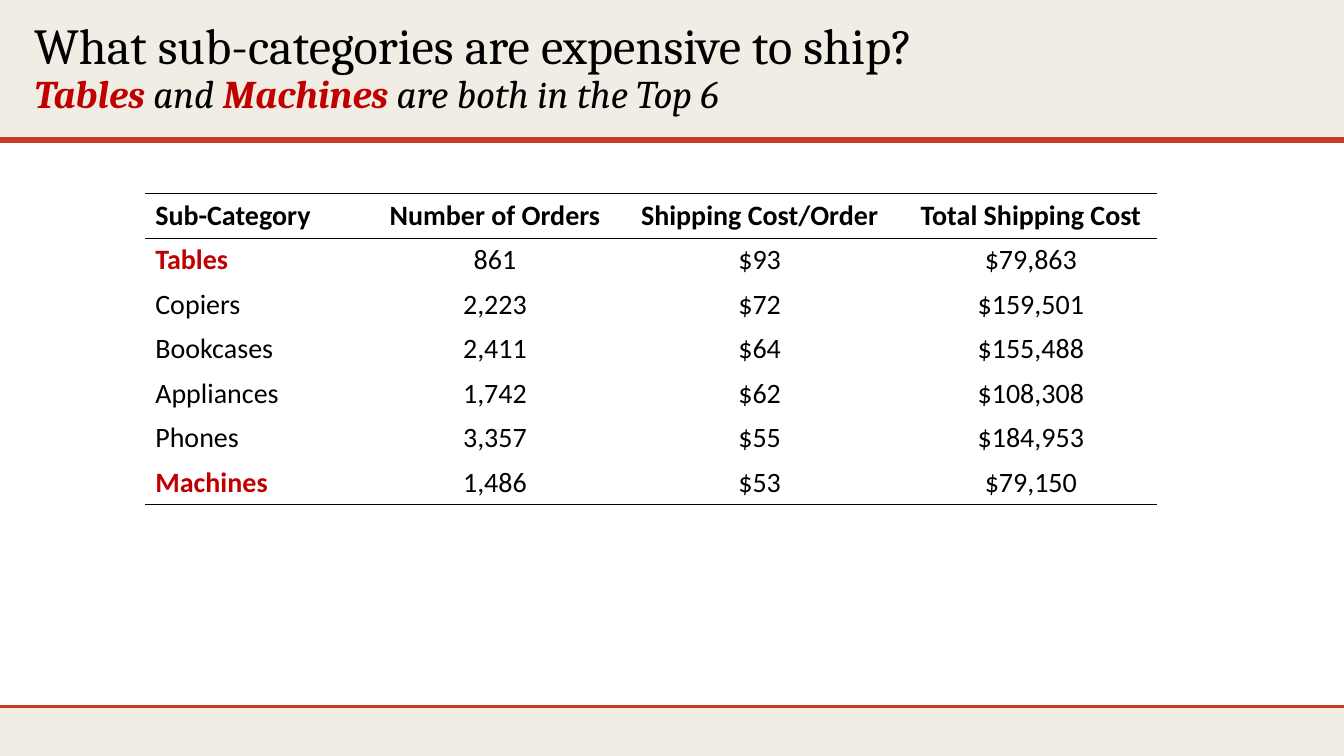
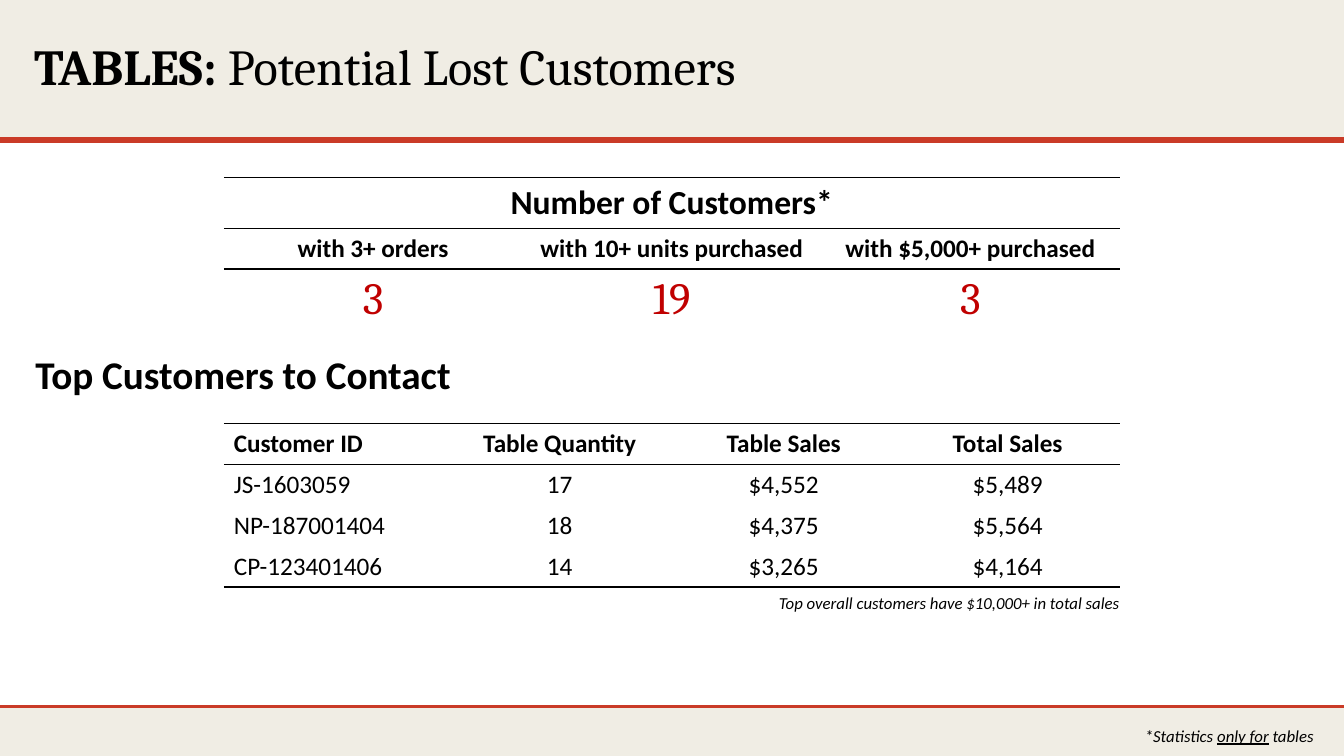
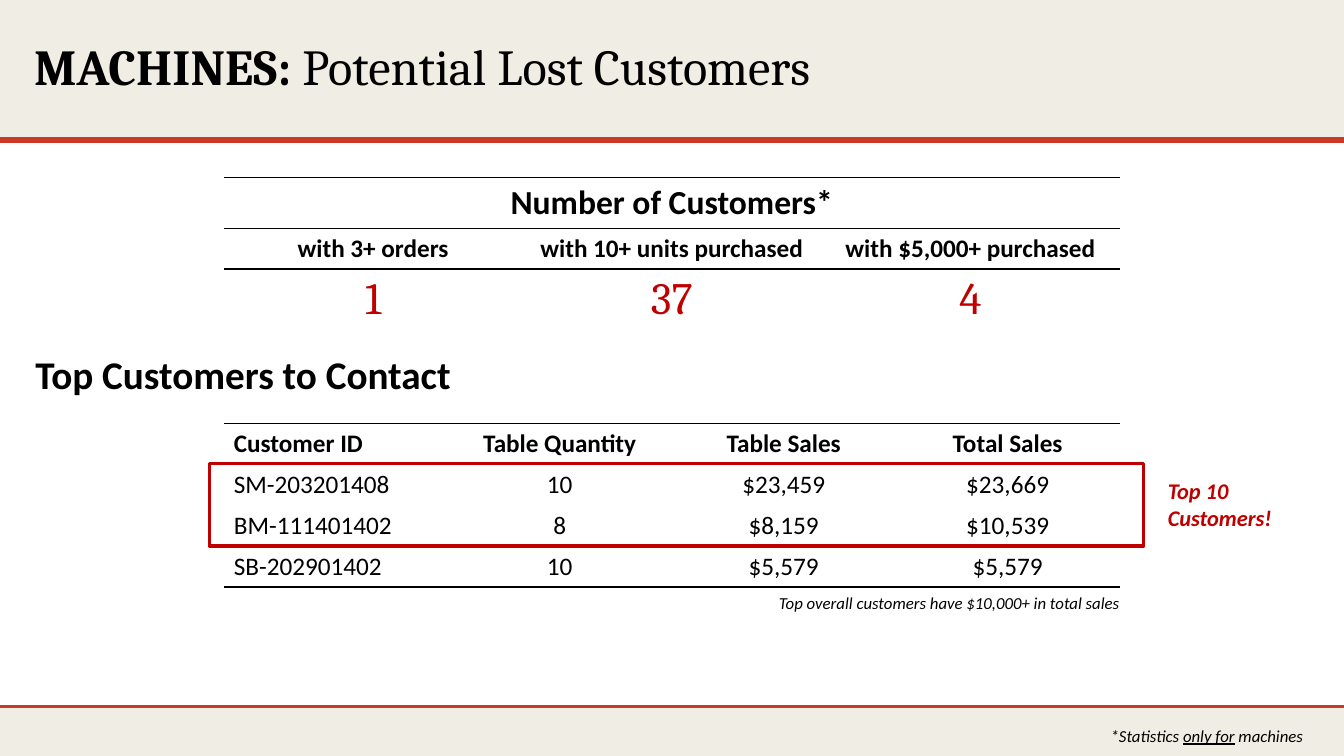
from dataclasses import dataclass, replace

from lxml import etree
from pptx import Presentation
from pptx import util as u
from pptx.dml.color import RGBColor
from pptx.enum import shapes, text
from pptx.oxml import ns
from pptx.slide import Slide
from pptx.table import _Cell
from pptx.text.text import TextFrame, _Paragraph

COLORS = {"band": "F0EDE4", "rule": "CA3B27", "accent": "C00000", "ink": "000000"}
SLIDE_W, SLIDE_H = 33.87, 19.05
HEADER_H, FOOTER_TOP = 3.53, 17.81
TABLE_W = 22.58
TABLE_LEFT = 5.64
CENTER = text.PP_ALIGN.CENTER
LEFT = text.PP_ALIGN.LEFT


@dataclass(frozen=True)
class Style:
    size: int
    font: str = "Calibri"
    color: str = "ink"
    bold: bool = False
    italic: bool = False
    underline: bool = False


@dataclass(frozen=True)
class Span:
    text: str
    style: Style


@dataclass(frozen=True)
class Box:
    left: float
    top: float
    width: float
    height: float

    def emu(self) -> tuple[u.Cm, ...]:
        return tuple(u.Cm(v) for v in (self.left, self.top, self.width, self.height))


@dataclass(frozen=True)
class Grid:
    left: float
    top: float
    widths: list[float]
    heights: list[float]
    rows: list[list[str]]
    styles: list[Style]
    rules: set[int]
    first_align: text.PP_ALIGN = LEFT
    highlights: tuple[str, ...] = ()


@dataclass(frozen=True)
class Product:
    name: str
    counts: list[str]
    customers: list[list[str]]
    footnote_left: float
    top_ten: bool = False


TITLE = Style(36, "Cambria")
TITLE_BOLD = replace(TITLE, bold=True)
SUBTITLE = Style(28, "Cambria", italic=True)
SUBTITLE_KEY = replace(SUBTITLE, color="accent", bold=True)
HEADING = Style(28, bold=True)
NOTE = Style(12, italic=True)
CALLOUT = Style(16, color="accent", bold=True, italic=True)
BIG_NUMBER = Style(32, "Cambria", "accent")
CELL = Style(18)
CELL_HEAD = replace(CELL, bold=True)


def rgb(name: str) -> RGBColor:
    return RGBColor.from_string(COLORS[name])


def write(p: _Paragraph, spans: list[Span]) -> None:
    for span in spans:
        r = p.add_run()
        r.text = span.text
        f, st = r.font, span.style
        f.name, f.size = st.font, u.Pt(st.size)
        f.bold, f.italic, f.underline = st.bold, st.italic, st.underline
        f.color.rgb = rgb(st.color)


def add_text(s: Slide, box: Box, lines: list[list[Span]]) -> TextFrame:
    tf = s.shapes.add_textbox(*box.emu()).text_frame
    tf.word_wrap = True
    for i, spans in enumerate(lines):
        write(tf.paragraphs[0] if i == 0 else tf.add_paragraph(), spans)
    return tf


def add_rect(s: Slide, box: Box, fill: str = "", line: str = "") -> None:
    sp = s.shapes.add_shape(shapes.MSO_SHAPE.RECTANGLE, *box.emu())
    sp.shadow.inherit = False
    if fill:
        sp.fill.solid()
        sp.fill.fore_color.rgb = rgb(fill)
    else:
        sp.fill.background()
    if line:
        sp.line.color.rgb = rgb(line)
        sp.line.width = u.Pt(2.25)
    else:
        sp.line.fill.background()


def add_rule(s: Slide, y: float, width: float) -> None:
    cx = s.shapes.add_connector(
        shapes.MSO_CONNECTOR.STRAIGHT, 0, u.Cm(y), u.Cm(SLIDE_W), u.Cm(y)
    )
    cx.line.color.rgb = rgb("rule")
    cx.line.width = u.Pt(width)
    etree.SubElement(cx._element.spPr, ns.qn("a:effectLst"))


def set_borders(cell: _Cell, top: bool, bottom: bool) -> None:
    tc_pr = cell._tc.get_or_add_tcPr()
    for side, shown in (("L", False), ("R", False), ("T", top), ("B", bottom)):
        ln = etree.SubElement(tc_pr, ns.qn(f"a:ln{side}"), w=str(u.Pt(1)))
        if shown:
            fill = etree.SubElement(ln, ns.qn("a:solidFill"))
            etree.SubElement(fill, ns.qn("a:srgbClr"), val=COLORS["ink"])
        else:
            etree.SubElement(ln, ns.qn("a:noFill"))


def add_grid(s: Slide, grid: Grid) -> None:
    box = Box(grid.left, grid.top, sum(grid.widths), sum(grid.heights))
    tbl = s.shapes.add_table(len(grid.rows), len(grid.widths), *box.emu()).table
    tbl.first_row = tbl.horz_banding = False
    for col, width in zip(tbl.columns, grid.widths):
        col.width = u.Cm(width)
    for i, values in enumerate(grid.rows):
        tbl.rows[i].height = u.Cm(grid.heights[i])
        for j in range(len(grid.widths)):
            cell = tbl.cell(i, j)
            set_borders(cell, i in grid.rules, i + 1 in grid.rules)
            cell.fill.background()
            if j < len(values):
                st = grid.styles[i]
                if values[j] in grid.highlights:
                    st = replace(st, color="accent", bold=True)
                p = cell.text_frame.paragraphs[0]
                p.alignment = CENTER if j else grid.first_align
                write(p, [Span(values[j], st)])
        if len(values) == 1:
            tbl.cell(i, 0).merge(tbl.cell(i, len(grid.widths) - 1))


def new_slide(prs: Presentation, title: list[list[Span]]) -> Slide:
    s = prs.slides.add_slide(prs.slide_layouts[6])
    add_rect(s, Box(0, FOOTER_TOP, SLIDE_W, SLIDE_H - FOOTER_TOP), "band")
    add_rect(s, Box(0, 0, SLIDE_W, HEADER_H), "band")
    add_rule(s, HEADER_H, 4.5)
    add_rule(s, FOOTER_TOP, 2.25)
    tf = add_text(s, Box(0.61, 0.28, 24.89, 2.92), title)
    tf.vertical_anchor = text.MSO_ANCHOR.MIDDLE
    for p in tf.paragraphs:
        p.line_spacing = 0.9
    return s


def shipping_slide(prs: Presentation) -> None:
    s = new_slide(prs, [
        [Span("What sub-categories are expensive to ship?", TITLE)],
        [
            Span("Tables", SUBTITLE_KEY),
            Span(" and ", SUBTITLE),
            Span("Machines", SUBTITLE_KEY),
            Span(" are both in the Top 6", SUBTITLE),
        ],
    ])
    rows = [
        ["Sub-Category", "Number of Orders", "Shipping Cost/Order", "Total Shipping Cost"],
        ["Tables", "861", "$93", "$79,863"],
        ["Copiers", "2,223", "$72", "$159,501"],
        ["Bookcases", "2,411", "$64", "$155,488"],
        ["Appliances", "1,742", "$62", "$108,308"],
        ["Phones", "3,357", "$55", "$184,953"],
        ["Machines", "1,486", "$53", "$79,150"],
    ]
    n = len(rows)
    add_grid(s, Grid(
        3.66, 4.88, [5.79, 6.05, 7.29, 6.38], [1.12] * n, rows,
        [Style(20, bold=True)] + [Style(20)] * (n - 1), {0, 1, n},
        highlights=("Tables", "Machines"),
    ))


def product_slide(prs: Presentation, product: Product) -> None:
    s = new_slide(prs, [[
        Span(f"{product.name.upper()}: ", TITLE_BOLD),
        Span("Potential Lost Customers", TITLE),
    ]])
    add_text(s, Box(0.64, 8.71, 15, 1.45), [[Span("Top Customers to Contact", HEADING)]])
    add_grid(s, Grid(
        TABLE_LEFT, 4.47, [TABLE_W / 3] * 3, [1.28, 1.03, 1.58],
        [
            ["Number of Customers*"],
            ["with 3+ orders", "with 10+ units purchased", "with $5,000+ purchased"],
            product.counts,
        ],
        [Style(24, bold=True), CELL_HEAD, BIG_NUMBER], {0, 1, 2}, CENTER,
    ))
    rows = [["Customer ID", "Table Quantity", "Table Sales", "Total Sales"]]
    rows += product.customers
    n = len(rows)
    add_grid(s, Grid(
        TABLE_LEFT, 10.67, [TABLE_W / 4] * 4, [1.03] * n, rows,
        [CELL_HEAD] + [CELL] * (n - 1), {0, 1, n},
    ))
    add_text(s, Box(19.38, 14.81, 9.47, 0.76),
             [[Span("Top overall customers have $10,000+ in total sales", NOTE)]])
    add_text(s, Box(product.footnote_left, 18.16, 33.4 - product.footnote_left, 0.76), [[
        Span("*Statistics ", NOTE),
        Span("only for", replace(NOTE, underline=True)),
        Span(f" {product.name}", NOTE),
    ]])
    if product.top_ten:
        add_rect(s, Box(5.28, 11.68, 23.55, 2.08), line="accent")
        add_text(s, Box(29.18, 11.91, 4.62, 1.63), [[Span("Top 10 Customers!", CALLOUT)]])


PRODUCTS = [
    Product("tables", ["3", "19", "3"], [
        ["JS-1603059", "17", "$4,552", "$5,489"],
        ["NP-187001404", "18", "$4,375", "$5,564"],
        ["CP-123401406", "14", "$3,265", "$4,164"],
    ], 28.6),
    Product("machines", ["1", "37", "4"], [
        ["SM-203201408", "10", "$23,459", "$23,669"],
        ["BM-111401402", "8", "$8,159", "$10,539"],
        ["SB-202901402", "10", "$5,579", "$5,579"],
    ], 27.74, top_ten=True),
]


def main() -> None:
    prs = Presentation()
    prs.slide_width, prs.slide_height = u.Cm(SLIDE_W), u.Cm(SLIDE_H)
    shipping_slide(prs)
    for product in PRODUCTS:
        product_slide(prs, product)
    prs.save("out.pptx")


if __name__ == "__main__":
    main()
